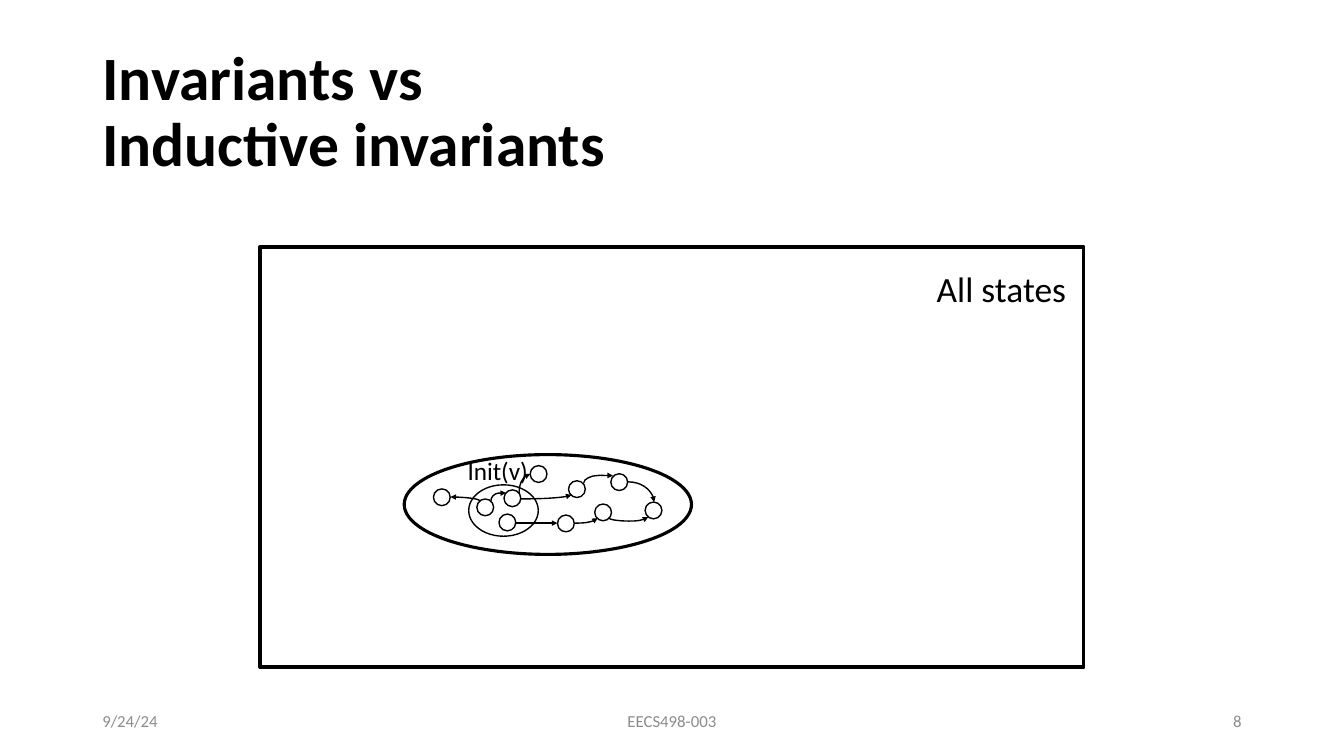
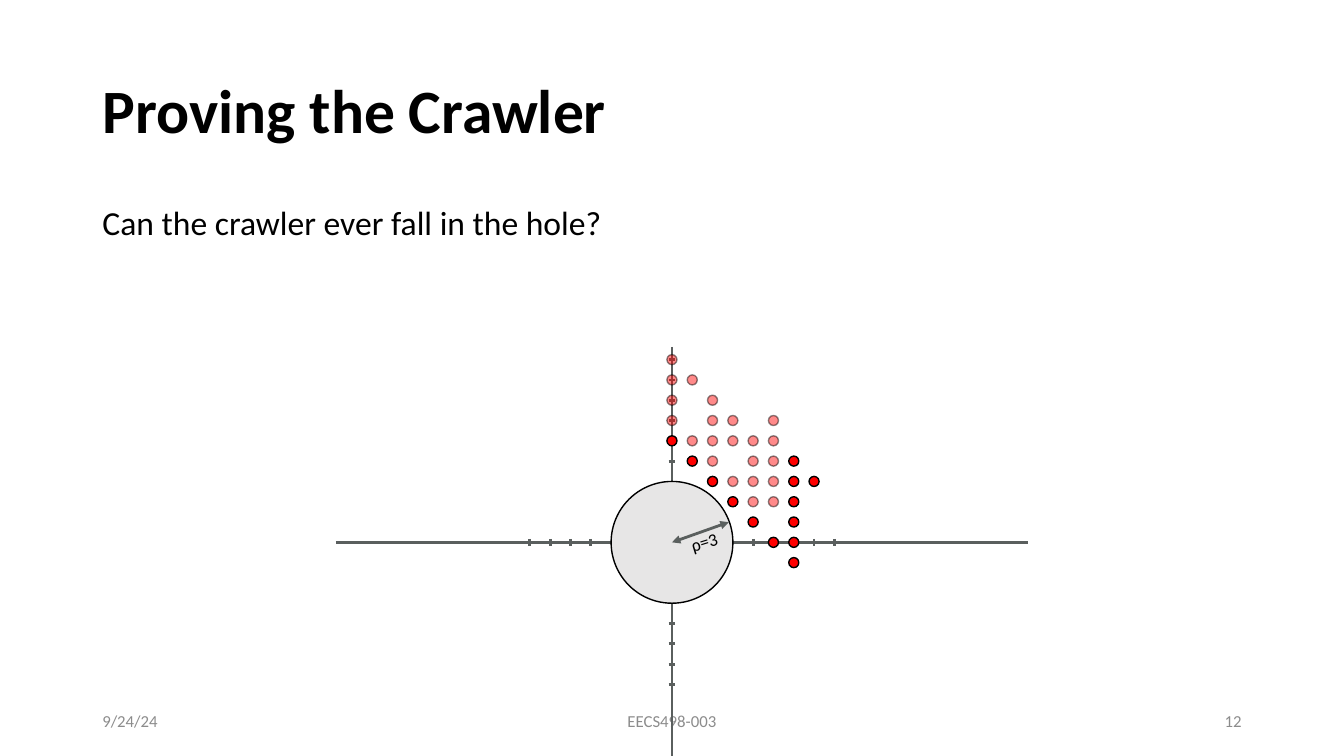
"""Build two lecture slides on inductive invariants and the crawler proof."""
from lxml import etree
from pptx import Presentation
from pptx.dml.color import RGBColor
from pptx.enum import shapes, text
from pptx.oxml.ns import qn
from pptx.util import Pt

BLACK = RGBColor(0x00, 0x00, 0x00)
FOOTER_GRAY = RGBColor(0x8C, 0x8C, 0x8C)
AXIS_GRAY = RGBColor(0x5A, 0x5F, 0x5E)
HOLE_GRAY = RGBColor(0xE7, 0xE6, 0xE6)
RED = RGBColor(0xFF, 0x00, 0x00)
FONT = "Calibri"
LEFT, CENTER, RIGHT = text.PP_ALIGN.LEFT, text.PP_ALIGN.CENTER, text.PP_ALIGN.RIGHT
MIDDLE, TOP = text.MSO_ANCHOR.MIDDLE, text.MSO_ANCHOR.TOP
OVAL, RECTANGLE = shapes.MSO_SHAPE.OVAL, shapes.MSO_SHAPE.RECTANGLE


def write(shape, box, words, size, color=BLACK, align=LEFT, anchor=MIDDLE, inset=None):
    """Place a text shape and set its single paragraph."""
    shape.left, shape.top, shape.width, shape.height = map(Pt, box)
    frame = shape.text_frame
    frame.word_wrap = True
    frame.auto_size = text.MSO_AUTO_SIZE.NONE
    frame.vertical_anchor = anchor
    if inset is not None:
        frame.margin_left = frame.margin_right = Pt(inset)
        frame.margin_top = frame.margin_bottom = Pt(inset)
    paragraph = frame.paragraphs[0]
    paragraph.text = words
    paragraph.alignment = align
    paragraph.font.name = FONT
    paragraph.font.size = Pt(size)
    paragraph.font.color.rgb = color
    return paragraph


def draw(slide, kind, box, line_width, fill=None):
    """Add a black-outlined preset shape."""
    shape = slide.shapes.add_shape(kind, *map(Pt, box))
    shape.shadow.inherit = False
    shape.line.color.rgb = BLACK
    shape.line.width = Pt(line_width)
    if fill is None:
        shape.fill.background()
    else:
        shape.fill.solid()
        shape.fill.fore_color.rgb = fill
    return shape


presentation = Presentation()
presentation.slide_width, presentation.slide_height = Pt(960), Pt(540)
layouts = presentation.slide_layouts
invariants = presentation.slides.add_slide(layouts[5])
crawler = presentation.slides.add_slide(layouts[1])

for slide, title, number in [
    (invariants, "Invariants vs \vInductive invariants", "8"),
    (crawler, "Proving the Crawler", "12"),
]:
    paragraph = write(slide.shapes.title, (66, 28.8, 828, 104.4), title, 44)
    paragraph.font.bold = True
    paragraph.line_spacing = 0.9
    for left, width, words, align in [
        (66, 216, "9/24/24", LEFT),
        (318, 324, "EECS498-003", CENTER),
        (678, 216, number, RIGHT),
    ]:
        box = (left, 500.5, width, 28.8)
        footer = slide.shapes.add_textbox(*map(Pt, box))
        write(footer, box, words, 12, FOOTER_GRAY, align)

draw(invariants, RECTANGLE, (185.8, 176.4, 588.2, 300.2), 2.75)
draw(invariants, OVAL, (288.7, 324.7, 205.2, 71.3), 2.25)
draw(invariants, OVAL, (334.8, 346.3, 49.7, 36.7), 1)
for left, top in [
    (340.6, 356.4), (356.4, 367.2), (360, 349.9), (309.6, 349.2), (378.7, 332.6),
    (406.1, 343.4), (398.2, 367.9), (424.8, 360), (436.3, 338.4), (460.8, 358.6),
]:
    draw(invariants, OVAL, (left, top, 12, 12), 1)

for box, words, size, align, anchor, inset in [
    ((666, 187.9, 98.6, 36), "All states", 25.3, CENTER, MIDDLE, 3),
    ((326.9, 321.8, 60.5, 28.8), "Init(v)", 18, LEFT, TOP, None),
]:
    label = invariants.shapes.add_textbox(*map(Pt, box))
    write(label, box, words, size, BLACK, align, anchor, inset)

for x1, y1, x2, y2, leaves_vertically, bend in [
    (342.7, 357.8, 321.8, 355, True, None),
    (370.8, 352.1, 378.7, 338.6, True, None),
    (350.6, 357.8, 361.4, 352.1, True, 0.97),
    (367.9, 373.7, 398.2, 373.7, False, 0.5),
    (371.5, 356.4, 408.2, 353.5, False, None),
    (416.9, 344.9, 437.8, 339.8, True, 1.03),
    (410.4, 373.7, 427, 370.1, False, None),
    (434.9, 370.1, 463, 369.3, True, -2.72),
    (448.6, 344.2, 467.3, 358.6, False, None),
]:
    run, rise = (y2 - y1, x1 - x2) if leaves_vertically else (x2 - x1, y2 - y1)
    middle_x, middle_y = (x1 + x2) / 2, (y1 + y2) / 2
    arrow = invariants.shapes.add_connector(
        shapes.MSO_CONNECTOR.CURVE,
        Pt(middle_x - run / 2), Pt(middle_y - rise / 2),
        Pt(middle_x + run / 2), Pt(middle_y + rise / 2),
    )
    arrow.line.color.rgb = BLACK
    arrow.line.width = Pt(1)
    properties = arrow.element.spPr
    if leaves_vertically:
        properties.find(qn("a:xfrm")).set("rot", "5400000")
    geometry = properties.find(qn("a:prstGeom"))
    if bend is None:
        geometry.set("prst", "curvedConnector2")
    else:
        guide = etree.SubElement(geometry.find(qn("a:avLst")), qn("a:gd"))
        guide.set("name", "adj1")
        guide.set("fmla", f"val {round(bend * 100000)}")
    head = etree.SubElement(properties.find(qn("a:ln")), qn("a:tailEnd"))
    for name, value in [("type", "triangle"), ("w", "sm"), ("len", "sm")]:
        head.set(name, value)

body = crawler.placeholders[1]
bullet_properties = body.text_frame.paragraphs[0]._p.get_or_add_pPr()
bullet_properties.set("marL", "0")
bullet_properties.set("indent", "0")
etree.SubElement(bullet_properties, qn("a:buNone"))
paragraph = write(body, (66, 144, 828, 342.7),
                  "Can the crawler ever fall in the hole?", 24, anchor=TOP)
paragraph.line_spacing = 0.9
paragraph.space_before = Pt(0)

ORIGIN_X, ORIGIN_Y, UNIT, TICK = 480, 387.4, 14.5, 2.4
HOLE_UNITS = 3
axis_lines = [(ORIGIN_X, 247.7, ORIGIN_X, 540), (240, ORIGIN_Y, 734.4, ORIGIN_Y)]
for step in range(-7, 10):
    x, y = ORIGIN_X + step * UNIT, ORIGIN_Y - step * UNIT
    if abs(step) > HOLE_UNITS:
        axis_lines.append((ORIGIN_X - TICK, y, ORIGIN_X + TICK, y))
        if step < 9:
            axis_lines.append((x, ORIGIN_Y - TICK, x, ORIGIN_Y + TICK))
radius_line = (520.6, 373, ORIGIN_X, ORIGIN_Y)
for ends in axis_lines + [radius_line]:
    if ends == radius_line:
        radius = HOLE_UNITS * UNIT
        hole = (ORIGIN_X - radius, ORIGIN_Y - radius, 2 * radius, 2 * radius)
        draw(crawler, OVAL, hole, 1, HOLE_GRAY)
    line = crawler.shapes.add_connector(shapes.MSO_CONNECTOR.STRAIGHT, *map(Pt, ends))
    line.line.color.rgb = AXIS_GRAY
    line.line.width = Pt(2)
    if ends == radius_line:
        for end in ("a:headEnd", "a:tailEnd"):
            outline = line.element.spPr.find(qn("a:ln"))
            etree.SubElement(outline, qn(end)).set("type", "triangle")

box = (487.4, 376.6, 31, 20.9)
radius_label = crawler.shapes.add_textbox(*map(Pt, box))
write(radius_label, box, "ρ=3", 12.7, align=CENTER, inset=3)
radius_label.rotation = 342.8

DOT = 7.2
faded_columns = [(6, 7, 8, 9), (5, 8), (4, 5, 6, 7), (3, 5, 6),
                 (2, 3, 4, 5), (2, 3, 4, 5, 6)]
solid_columns = [(5,), (4,), (3,), (2,), (1,), (0,), (-1, 0, 1, 2, 3, 4), (3,)]
for columns, opacity in [(faded_columns, "46000"), (solid_columns, None)]:
    for column, rows in enumerate(columns):
        for row in rows:
            left = ORIGIN_X + column * UNIT - DOT / 2
            top = ORIGIN_Y - row * UNIT - DOT / 2
            dot = draw(crawler, OVAL, (left, top, DOT, DOT), 1, RED)
            if opacity:
                for color in dot.element.spPr.iter(qn("a:srgbClr")):
                    etree.SubElement(color, qn("a:alpha")).set("val", opacity)

for slide in presentation.slides:
    for shape in slide.shapes:
        if shape.shape_type == shapes.MSO_SHAPE_TYPE.LINE:
            etree.SubElement(shape.element.spPr, qn("a:effectLst"))

presentation.save("out.pptx")
